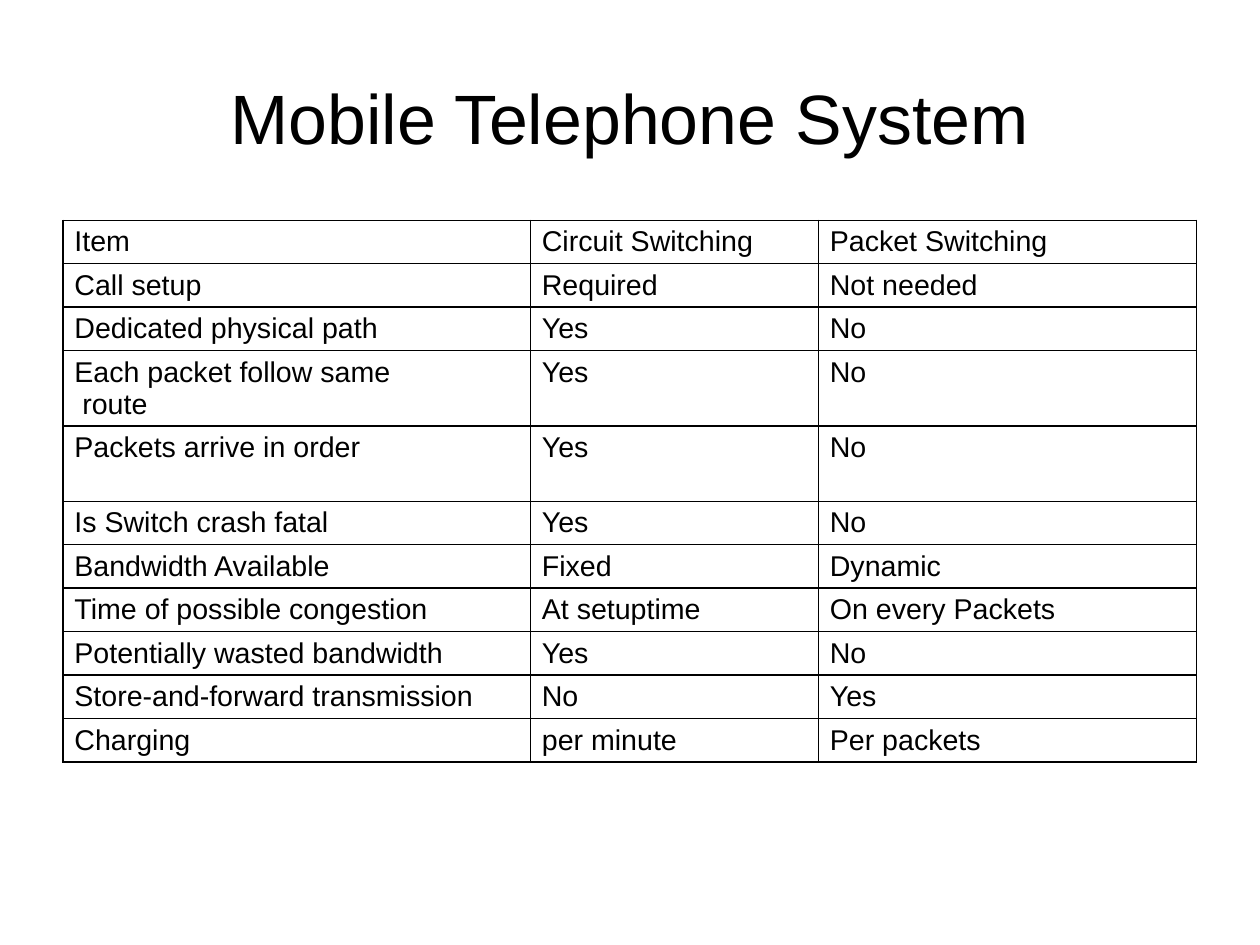
from dataclasses import dataclass

from pptx import Presentation
from pptx.dml.color import RGBColor
from pptx.enum.text import MSO_ANCHOR, PP_ALIGN
from pptx.oxml import parse_xml
from pptx.oxml.ns import nsdecls
from pptx.util import Cm, Inches, Pt


@dataclass(frozen=True)
class Theme:
    """Colours, font, type sizes and line width of the slide."""
    ink: str = "000000"
    font: str = "Arial"
    title_size: int = 44
    body_size: int = 18
    border: float = 1


THEME = Theme()
WIDTH, HEIGHT = Cm(28), Cm(21)
MARGIN, CONTENT = 0.05, 0.9  # shares of the slide width
COLUMNS = (4.09, 2.52, 3.31)
ROW, TALL_ROW = 0.38, 0.66
TALL_ROWS = (3, 4)

COMPARISON = [
    ("Item", "Circuit Switching", "Packet Switching"),
    ("Call setup", "Required", "Not needed"),
    ("Dedicated physical path", "Yes", "No"),
    ("Each packet follow same\n route", "Yes", "No"),
    ("Packets arrive in order", "Yes", "No"),
    ("Is Switch crash fatal", "Yes", "No"),
    ("Bandwidth Available", "Fixed", "Dynamic"),
    ("Time of possible congestion", "At setuptime", "On every Packets"),
    ("Potentially wasted bandwidth", "Yes", "No"),
    ("Store-and-forward transmission", "No", "Yes"),
    ("Charging", "per minute", "Per packets"),
]


def set_text(tf, text, size, align=PP_ALIGN.LEFT):
    """Fill a text frame and format all its runs."""
    tf.text = text
    for p in tf.paragraphs:
        p.alignment = align
        for r in p.runs:
            r.font.name = THEME.font
            r.font.size = Pt(size)
            r.font.color.rgb = RGBColor.from_string(THEME.ink)


def add_title(s, text, top, height):
    """Add the centred title; top and height are shares of the slide."""
    box = s.shapes.add_textbox(int(WIDTH * MARGIN), int(HEIGHT * top),
                               int(WIDTH * CONTENT), int(HEIGHT * height))
    tf = box.text_frame
    tf.word_wrap = True
    tf.vertical_anchor = MSO_ANCHOR.MIDDLE
    tf.margin_left = tf.margin_right = tf.margin_top = tf.margin_bottom = 0
    set_text(tf, text, THEME.title_size, PP_ALIGN.CENTER)


def add_borders(cell):
    """Draw a solid line on the four sides of a cell."""
    tc_pr = cell._tc.get_or_add_tcPr()
    for i, side in enumerate(("lnL", "lnR", "lnT", "lnB")):
        tc_pr.insert(i, parse_xml(
            f'<a:{side} {nsdecls("a")} w="{Pt(THEME.border)}"><a:solidFill>'
            f'<a:srgbClr val="{THEME.ink}"/></a:solidFill></a:{side}>'))


def add_comparison(s, rows, top):
    """Add the ruled table; top is a share of the slide height."""
    heights = [TALL_ROW if i in TALL_ROWS else ROW for i in range(len(rows))]
    frame = s.shapes.add_table(len(rows), len(COLUMNS), int(WIDTH * MARGIN),
                               int(HEIGHT * top), Inches(sum(COLUMNS)),
                               Inches(sum(heights)))
    table = frame.table
    table.first_row = table.horz_banding = False
    for column, width in zip(table.columns, COLUMNS):
        column.width = Inches(width)
    for row, height, texts in zip(table.rows, heights, rows):
        row.height = Inches(height)
        for cell, text in zip(row.cells, texts):
            set_text(cell.text_frame, text, THEME.body_size)
            cell.margin_bottom = 0
            cell.fill.background()
            add_borders(cell)


def main():
    """Build and save the slide."""
    prs = Presentation()
    prs.slide_width, prs.slide_height = WIDTH, HEIGHT
    s = prs.slides.add_slide(prs.slide_layouts[6])
    add_title(s, "Mobile Telephone System", top=0.04, height=0.167)
    add_comparison(s, COMPARISON, top=0.233)
    prs.save("out.pptx")


main()
